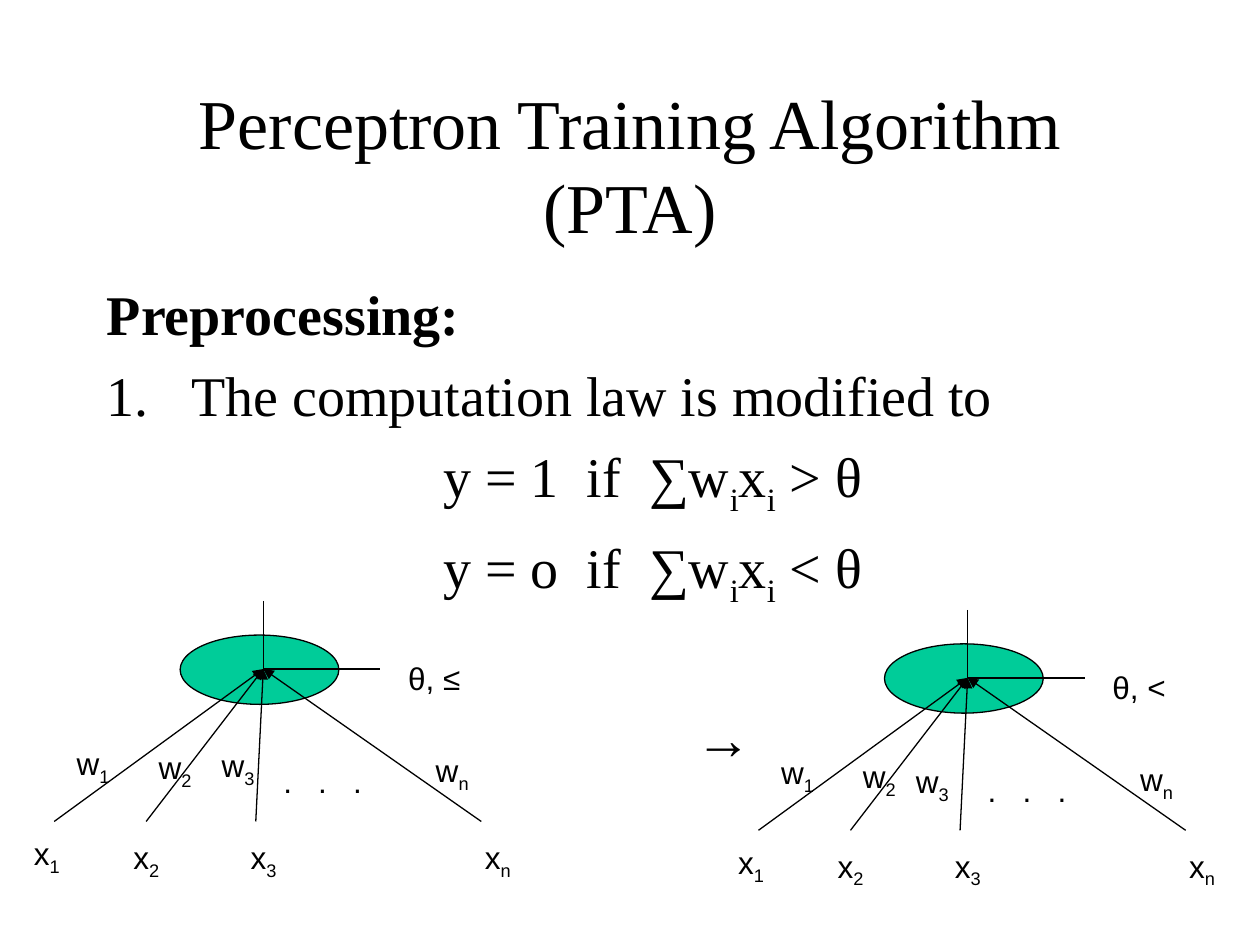
from pptx import Presentation
from pptx.dml.color import RGBColor
from pptx.enum.shapes import MSO_CONNECTOR, MSO_SHAPE
from pptx.enum.text import MSO_ANCHOR, MSO_AUTO_SIZE, PP_ALIGN
from pptx.oxml.ns import qn
from pptx.util import Pt
from lxml import etree

PX = 9144
STRAIGHT = MSO_CONNECTOR.STRAIGHT
OVAL = MSO_SHAPE.OVAL
MIDDLE = MSO_ANCHOR.MIDDLE
FIT_SHAPE = MSO_AUTO_SIZE.SHAPE_TO_FIT_TEXT
LEFT, CENTER = PP_ALIGN.LEFT, PP_ALIGN.CENTER
SERIF, SANS = "Times New Roman", "Arial"
BLACK, GREEN = "000000", "00CC99"


def color(value):
    return RGBColor.from_string(value)


def write(para, text, size=18, font=SANS, bold=False, align=LEFT, before=0,
          margin=0, indent=0, numbered=False):
    para.alignment = align
    para.space_before = Pt(before)
    settings = para._p.get_or_add_pPr()
    settings.set("marL", str(margin * PX))
    settings.set("indent", str(indent * PX))
    if numbered:
        etree.SubElement(settings, qn("a:buAutoNum"), type="arabicPeriod")
    for index, part in enumerate(text.split("~")):
        span = para.add_run()
        span.text = part
        span.font.size = Pt(size)
        span.font.name = font
        span.font.bold = bold
        span.font.color.rgb = color(BLACK)
        if index % 2:
            span._r.get_or_add_rPr().set("baseline", "-25000")


deck = Presentation()
deck.slide_width = 1000 * PX
deck.slide_height = 750 * PX
page = deck.slides.add_slide(deck.slide_layouts[6])

title = page.shapes.add_textbox(75 * PX, 67 * PX, 850 * PX, 125 * PX)
title.text_frame.word_wrap = True
title.text_frame.vertical_anchor = MIDDLE
write(title.text_frame.paragraphs[0], "Perceptron Training Algorithm (PTA)",
      size=40, font=SERIF, align=CENTER)

body = page.shapes.add_textbox(75 * PX, 217 * PX, 850 * PX, 450 * PX)
body.text_frame.word_wrap = True
body_lines = [
    ("Preprocessing:", dict(bold=True, margin=67, indent=-67)),
    ("The computation law is modified to", dict(margin=67, indent=-67, numbered=True)),
    ("y = 1  if  ∑w~i~x~i~ > θ", dict(margin=267)),
    ("y = o  if  ∑w~i~x~i~ < θ", dict(margin=267)),
    ("→", dict(margin=467, font=SANS, before=54)),
]
for index, (text, style) in enumerate(body_lines):
    frame = body.text_frame
    para = frame.add_paragraph() if index else frame.paragraphs[0]
    write(para, text, **{"size": 32, "font": SERIF, "before": 8, **style})

hub = (209, 531)
lines = [((209, 477), hub, False), (hub, (302, 531), False)]
lines += [((x, 652), hub, True) for x in (43, 116, 203, 382)]
labels = [
    (".   .   .", 215, 600, 95, 40),
    ("w~1", 51, 586, 52, 44),
    ("w~2", 116, 589, 52, 44),
    ("w~n", 336, 591, 52, 44),
    ("x~1", 17, 657, 46, 44),
    ("x~2", 96, 660, 46, 44),
    ("x~3", 189, 660, 46, 44),
    ("x~n", 375, 660, 46, 44),
]
perceptrons = [
    (0, 0, "θ, ≤", (166, 587)),
    (559, 7, "θ, <", (158, 593)),
]

for dx, dy, threshold, third_weight in perceptrons:
    shapes = page.shapes.add_group_shape().shapes
    neuron = shapes.add_shape(OVAL, (143 + dx) * PX, (504 + dy) * PX, 126 * PX, 55 * PX)
    neuron.shadow.inherit = False
    neuron.fill.solid()
    neuron.fill.fore_color.rgb = color(GREEN)
    neuron.line.color.rgb = color(BLACK)
    neuron.line.width = Pt(0.75)

    for (x1, y1), (x2, y2), arrow in lines:
        line = shapes.add_connector(STRAIGHT, (x1 + dx) * PX, (y1 + dy) * PX,
                                    (x2 + dx) * PX, (y2 + dy) * PX)
        line.line.color.rgb = color(BLACK)
        line.line.width = Pt(0.75)
        if arrow:
            etree.SubElement(line.line._get_or_add_ln(), qn("a:tailEnd"), type="triangle")
        etree.SubElement(line._element.spPr, qn("a:effectLst"))

    own_labels = [(threshold, 314, 518, 70, 40), ("w~3", *third_weight, 52, 44)]
    for text, left, top, width, height in labels + own_labels:
        box = shapes.add_textbox((left + dx) * PX, (top + dy) * PX, width * PX, height * PX)
        box.text_frame.word_wrap = True
        box.text_frame.auto_size = FIT_SHAPE
        write(box.text_frame.paragraphs[0], text)

deck.save("out.pptx")
